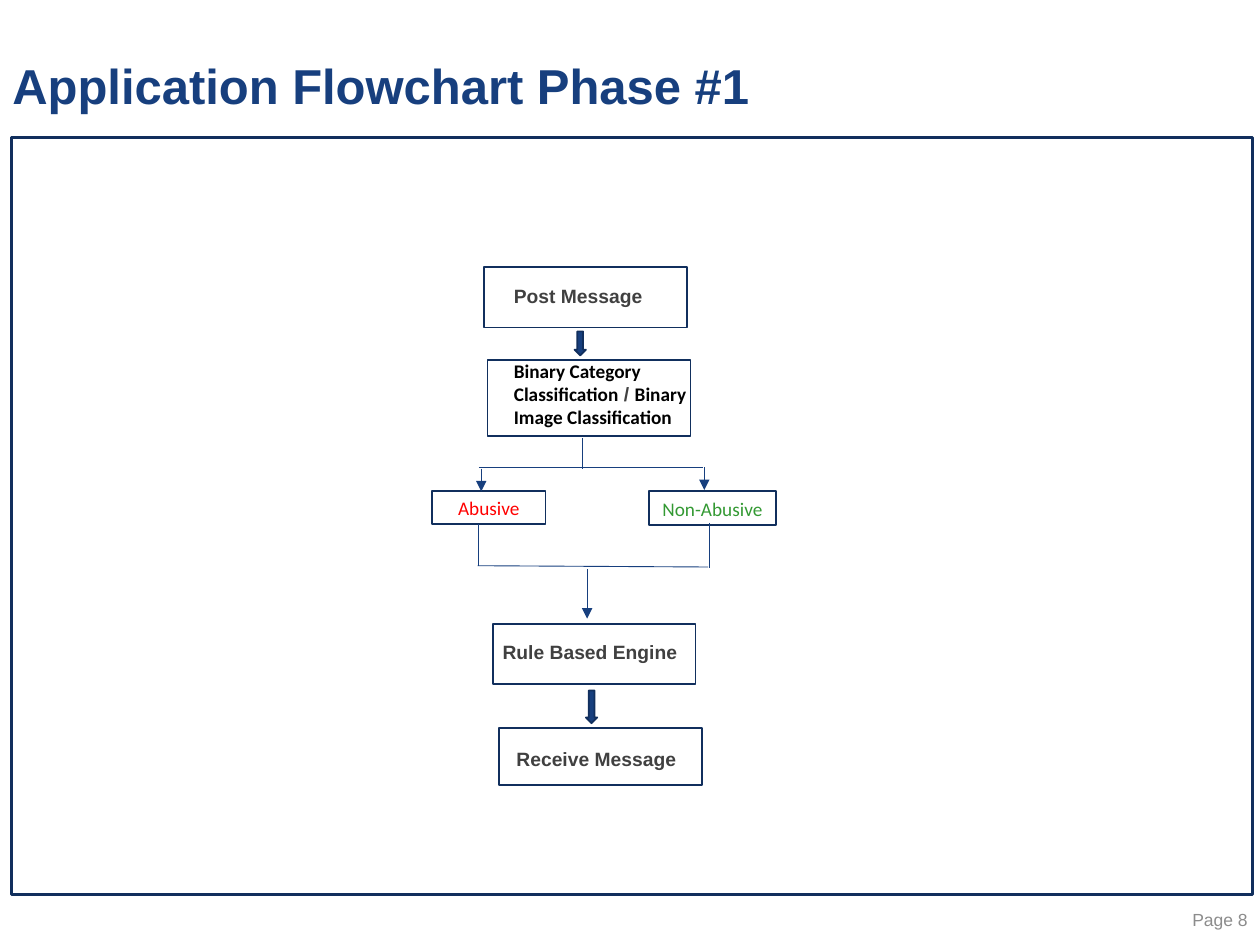
from lxml import etree
from pptx import Presentation
from pptx.dml.color import RGBColor
from pptx.enum.shapes import MSO_CONNECTOR, MSO_SHAPE
from pptx.enum.text import MSO_ANCHOR, PP_ALIGN
from pptx.oxml.ns import qn
from pptx.util import Inches, Pt

RECTANGLE, DOWN_ARROW = MSO_SHAPE.RECTANGLE, MSO_SHAPE.DOWN_ARROW
STRAIGHT = MSO_CONNECTOR.STRAIGHT
TOP, MIDDLE = MSO_ANCHOR.TOP, MSO_ANCHOR.MIDDLE
LEFT, CENTER, RIGHT = PP_ALIGN.LEFT, PP_ALIGN.CENTER, PP_ALIGN.RIGHT
NAVY, DARK_NAVY, GRAY = "173F7E", "112F5D", "404040"


def color(value):
    return RGBColor.from_string(value)


def write(box, runs, align=LEFT, anchor=TOP, wrap=True):
    frame = box.text_frame
    frame.word_wrap = wrap
    frame.vertical_anchor = anchor
    para = frame.paragraphs[0]
    para.alignment = align
    for text, name, size, shade, bold in runs:
        span = para.add_run()
        span.text = text
        for key, value in {"name": name, "size": Pt(size), "bold": bold}.items():
            setattr(span.font, key, value)
        span.font.color.rgb = color(shade)
    return para


deck = Presentation()
deck.slide_width, deck.slide_height = Inches(10), Inches(7.5)
page = deck.slides.add_slide(deck.slide_layouts[6])

title = page.shapes.add_textbox(Inches(0), Inches(0.33), Inches(7.22), Inches(0.74))
title_para = write(title, [("Application Flowchart Phase #1", "Arial", 28, NAVY, True)], anchor=MIDDLE)
title_para.line_spacing = 0.9

page_number = page.shapes.add_textbox(Inches(8.75), Inches(7.1), Inches(1.25), Inches(0.4))
write(page_number, [("Page 8", "Arial", 10, "8C8C8C", False)], RIGHT, MIDDLE)

outlines = [
    (RECTANGLE, 0.09, 1.09, 9.85, 6.01, 2, None),
    (RECTANGLE, 3.84, 2.12, 1.61, 0.48, 1, None),
    (DOWN_ARROW, 4.56, 2.63, 0.09, 0.19, 1, None),
    (RECTANGLE, 3.87, 2.86, 1.61, 0.6, 1, None),
    (RECTANGLE, 3.43, 3.9, 0.9, 0.26, 1, ("Abusive", "FF0000")),
    (RECTANGLE, 5.15, 3.9, 1.01, 0.27, 1, ("Non-Abusive", "339933")),
    (RECTANGLE, 3.91, 4.95, 1.61, 0.48, 1, None),
    (DOWN_ARROW, 4.65, 5.48, 0.09, 0.26, 1, None),
    (RECTANGLE, 3.96, 5.78, 1.61, 0.45, 1, None),
]
for kind, left, top, width, height, weight, label in outlines:
    shape = page.shapes.add_shape(kind, Inches(left), Inches(top), Inches(width), Inches(height))
    shape.shadow.inherit = False
    shape.line.color.rgb = color(DARK_NAVY)
    shape.line.width = Pt(weight)
    if kind == DOWN_ARROW:
        shape.fill.solid()
        shape.fill.fore_color.rgb = color(NAVY)
    else:
        shape.fill.background()
    if label:
        text, shade = label
        write(shape, [(text, "Calibri", 11, shade, False)], CENTER, MIDDLE)

steps = [
    ("Post Message", 3.98, 2.21, 1.23),
    ("Rule Based Engine", 3.89, 5.03, 1.6),
    ("Receive Message", 4, 5.88, 1.52),
]
for text, left, top, width in steps:
    step = page.shapes.add_textbox(Inches(left), Inches(top), Inches(width), Inches(0.29))
    write(step, [(text, "Arial", 11, GRAY, True)], wrap=False)

classifier = page.shapes.add_textbox(Inches(3.98), Inches(2.8), Inches(1.66), Inches(0.66))
write(classifier, [
    ("Binary Category Classification", "Calibri", 11, "000000", True),
    (" / ", "Arial", 11, GRAY, True),
    ("Binary Image Classification", "Calibri", 11, "000000", True),
])

connections = [
    (3.8, 3.71, 5.58, 3.71, False),
    (4.62, 3.48, 4.62, 3.72, False),
    (3.82, 3.72, 3.82, 3.9, True),
    (5.59, 3.71, 5.59, 3.89, True),
    (3.79, 4.49, 5.62, 4.5, False),
    (4.66, 4.52, 4.66, 4.91, True),
    (3.8, 4.16, 3.8, 4.49, False),
    (5.63, 4.15, 5.63, 4.51, False),
]
for start_x, start_y, end_x, end_y, arrow in connections:
    connector = page.shapes.add_connector(
        STRAIGHT, Inches(start_x), Inches(start_y), Inches(end_x), Inches(end_y))
    connector.line.color.rgb = color(NAVY)
    connector.line.width = Pt(0.5)
    if arrow:
        etree.SubElement(connector.line._get_or_add_ln(), qn("a:tailEnd"), type="triangle")
    etree.SubElement(connector._element.spPr, qn("a:effectLst"))

deck.save("out.pptx")
